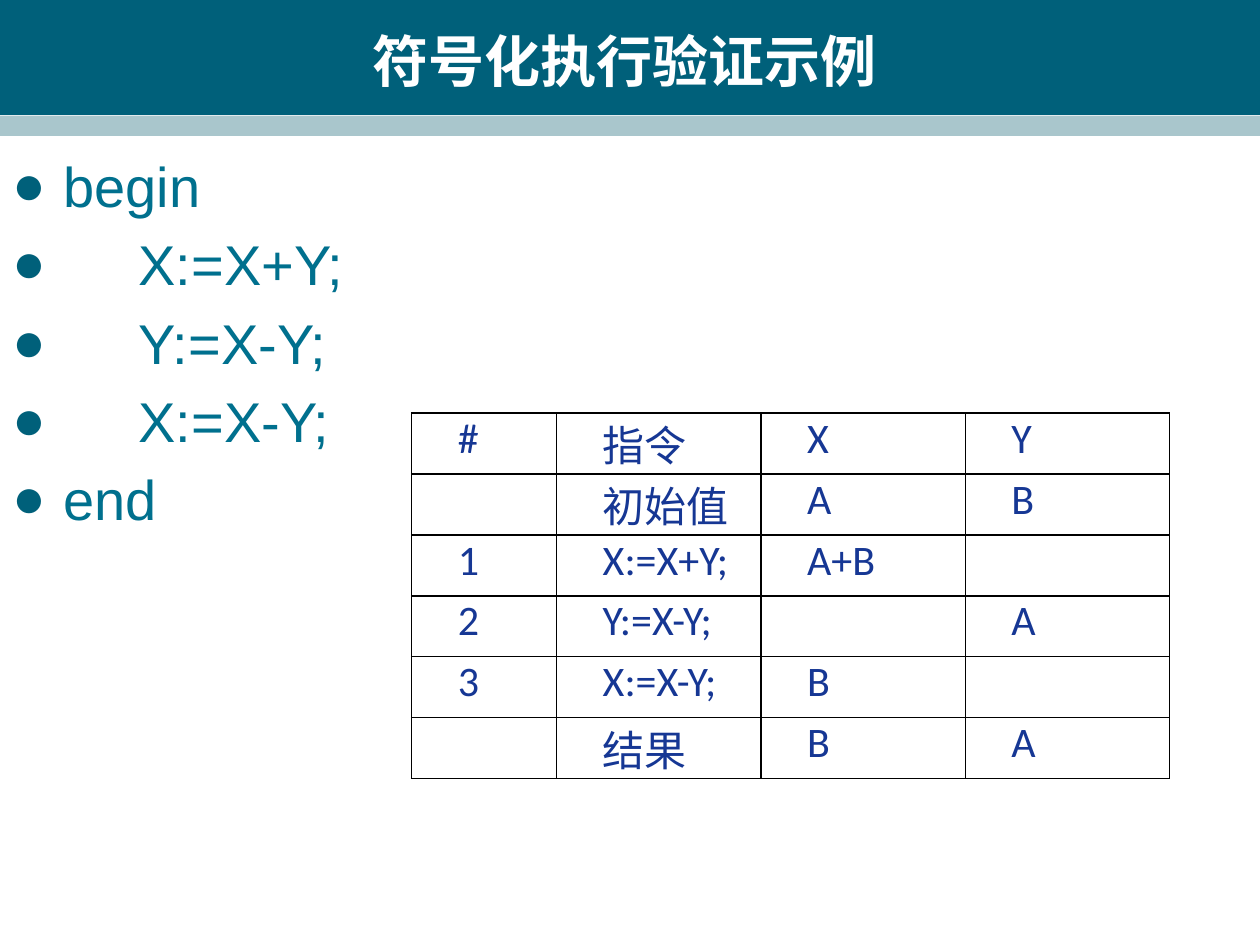
from dataclasses import dataclass

from lxml.etree import SubElement
from pptx import Presentation
from pptx.dml.color import RGBColor
from pptx.enum.shapes import MSO_SHAPE as Preset
from pptx.enum.text import MSO_ANCHOR as Anchor, MSO_AUTO_SIZE as AutoSize, PP_ALIGN as Align
from pptx.oxml.ns import qn
from pptx.util import Cm, Pt

COLORS = {
    "band": "00607A",
    "stripe": "A9C6CC",
    "title": "FFFFFF",
    "code": "00708E",
    "cell": "163794",
    "border": "000000",
}

CODE_LINES = ["begin", "\tX:=X+Y;", "\tY:=X-Y;", "\tX:=X-Y;", "end"]

TRACE_ROWS = [
    ("#", "指令", "X", "Y"),
    ("", "初始值", "A", "B"),
    ("1", "X:=X+Y;", "A+B", ""),
    ("2", "Y:=X-Y;", "", "A"),
    ("3", "X:=X-Y;", "B", ""),
    ("", "结果", "B", "A"),
]
COLUMN_WIDTHS = [Cm(2.92), Cm(4.12), Cm(4.12), Cm(4.12)]
ROW_HEIGHT = Cm(1.225)


@dataclass
class Band:
    top: float
    height: float
    color: str


BANDS = [Band(0, 2.32, "band"), Band(2.33, 0.41, "stripe")]


def rgb(name: str) -> RGBColor:
    return RGBColor.from_string(COLORS[name])


def set_font(paragraph, name: str, size: int, color: str, bold: bool = False) -> None:
    font = paragraph.font
    font.name, font.size, font.bold = name, Pt(size), bold
    font.color.rgb = rgb(color)


def place(shape, left: float, top: float, width: float, height: float) -> None:
    shape.left, shape.top = Cm(left), Cm(top)
    shape.width, shape.height = Cm(width), Cm(height)


def add_band(slide, band: Band, width: int) -> None:
    """Draw a full-width band behind the title."""
    shape = slide.shapes.add_shape(Preset.RECTANGLE, 0, Cm(band.top), width, Cm(band.height))
    shape.shadow.inherit = False
    shape.fill.solid()
    shape.fill.fore_color.rgb = rgb(band.color)
    shape.line.fill.background()
    slide.shapes.title.element.addprevious(shape.element)


def set_bullet(paragraph) -> None:
    """Give a hanging round bullet and tab stops one inch apart."""
    properties = paragraph._p.get_or_add_pPr()
    indent = Cm(1.02)
    properties.set("marL", str(indent))
    properties.set("indent", str(-indent))
    properties.set("defTabSz", str(Cm(2.54)))
    color = SubElement(properties, qn("a:buClr"))
    SubElement(color, qn("a:srgbClr"), val=COLORS["band"])
    SubElement(properties, qn("a:buFont"), typeface="Arial")
    SubElement(properties, qn("a:buChar"), char="●")


def set_borders(cell) -> None:
    properties = cell._tc.get_or_add_tcPr()
    for position, side in enumerate(("a:lnL", "a:lnR", "a:lnT", "a:lnB")):
        line = properties.makeelement(qn(side), {"w": str(Pt(1))})
        fill = SubElement(line, qn("a:solidFill"))
        SubElement(fill, qn("a:srgbClr"), val=COLORS["border"])
        properties.insert(position, line)


def fill_cell(cell, text: str) -> None:
    cell.fill.background()
    set_borders(cell)
    cell.margin_left = cell.margin_right = Cm(0.19)
    cell.margin_top = cell.margin_bottom = 0
    paragraph = cell.text_frame.paragraphs[0]
    paragraph.text = text
    paragraph.alignment = Align.JUSTIFY
    paragraph._p.get_or_add_pPr().set("indent", str(Cm(0.74)))
    set_font(paragraph, "Calibri", 24, "cell")


def add_trace_table(slide) -> None:
    table = slide.shapes.add_table(
        len(TRACE_ROWS), len(COLUMN_WIDTHS), Cm(8.3), Cm(8.33),
        sum(COLUMN_WIDTHS), ROW_HEIGHT * len(TRACE_ROWS),
    ).table
    table.first_row = table.horz_banding = False
    for column, width in zip(table.columns, COLUMN_WIDTHS):
        column.width = width
    for row, texts in zip(table.rows, TRACE_ROWS):
        row.height = ROW_HEIGHT
        for cell, text in zip(row.cells, texts):
            fill_cell(cell, text)


def main() -> None:
    presentation = Presentation()
    presentation.slide_width, presentation.slide_height = Cm(25.4), Cm(19.05)
    slide = presentation.slides.add_slide(presentation.slide_layouts[1])
    for band in BANDS:
        add_band(slide, band, presentation.slide_width)

    title, body = slide.shapes.title, slide.placeholders[1]
    place(title, 0.84, 0.43, 23.5, 1.57)
    title.text_frame.text = "符号化执行验证示例"
    title.text_frame.auto_size = AutoSize.NONE
    title.text_frame.vertical_anchor = Anchor.MIDDLE
    heading = title.text_frame.paragraphs[0]
    heading.alignment = Align.CENTER
    set_font(heading, "DejaVu Sans", 32, "title", bold=True)

    place(body, 0, 2.92, 9.09, 9.4)
    body.text_frame.text = "\n".join(CODE_LINES)
    body.text_frame.auto_size = AutoSize.NONE
    for paragraph in body.text_frame.paragraphs:
        set_bullet(paragraph)
        set_font(paragraph, "Arial", 32, "code")

    add_trace_table(slide)
    presentation.save("out.pptx")


if __name__ == "__main__":
    main()
